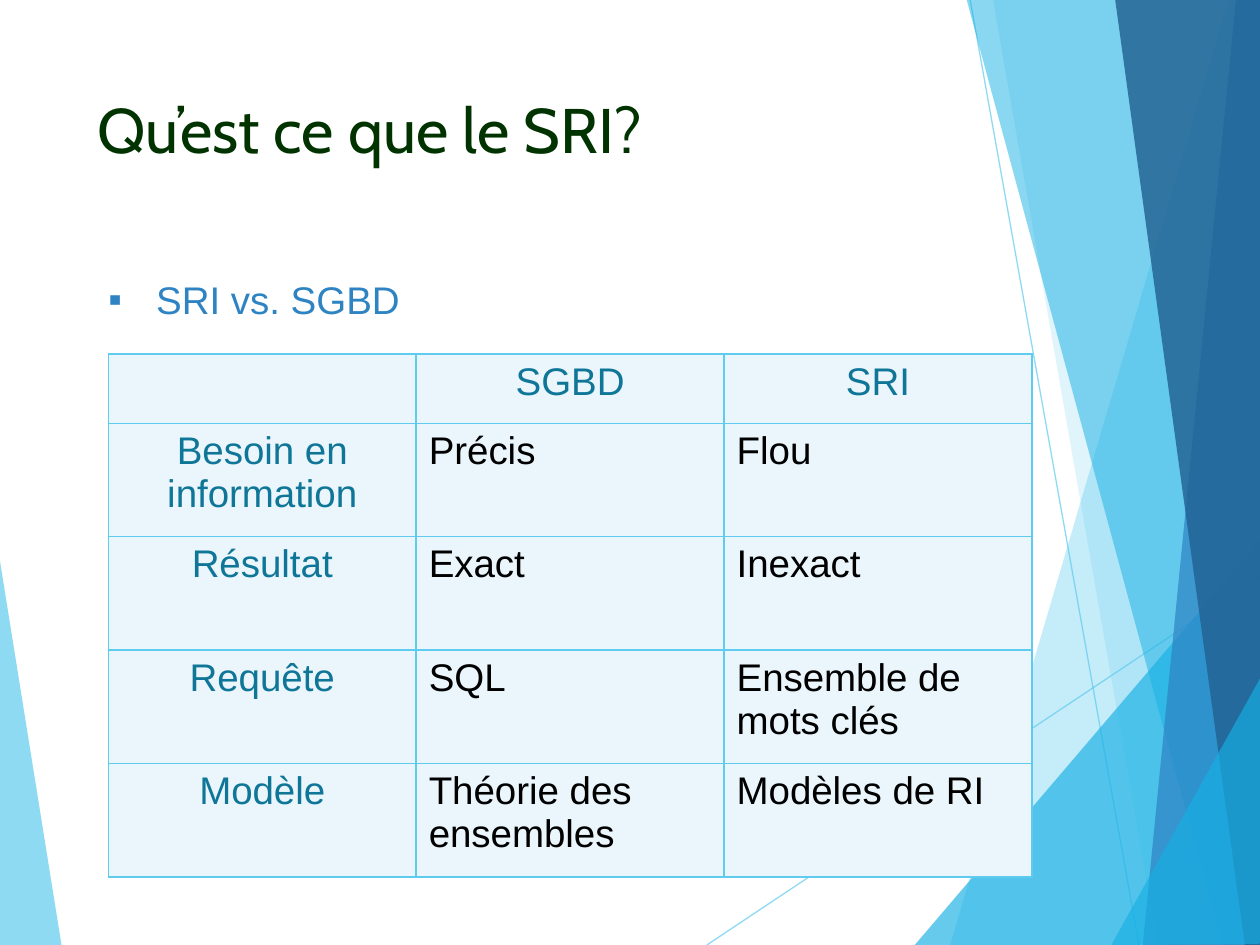
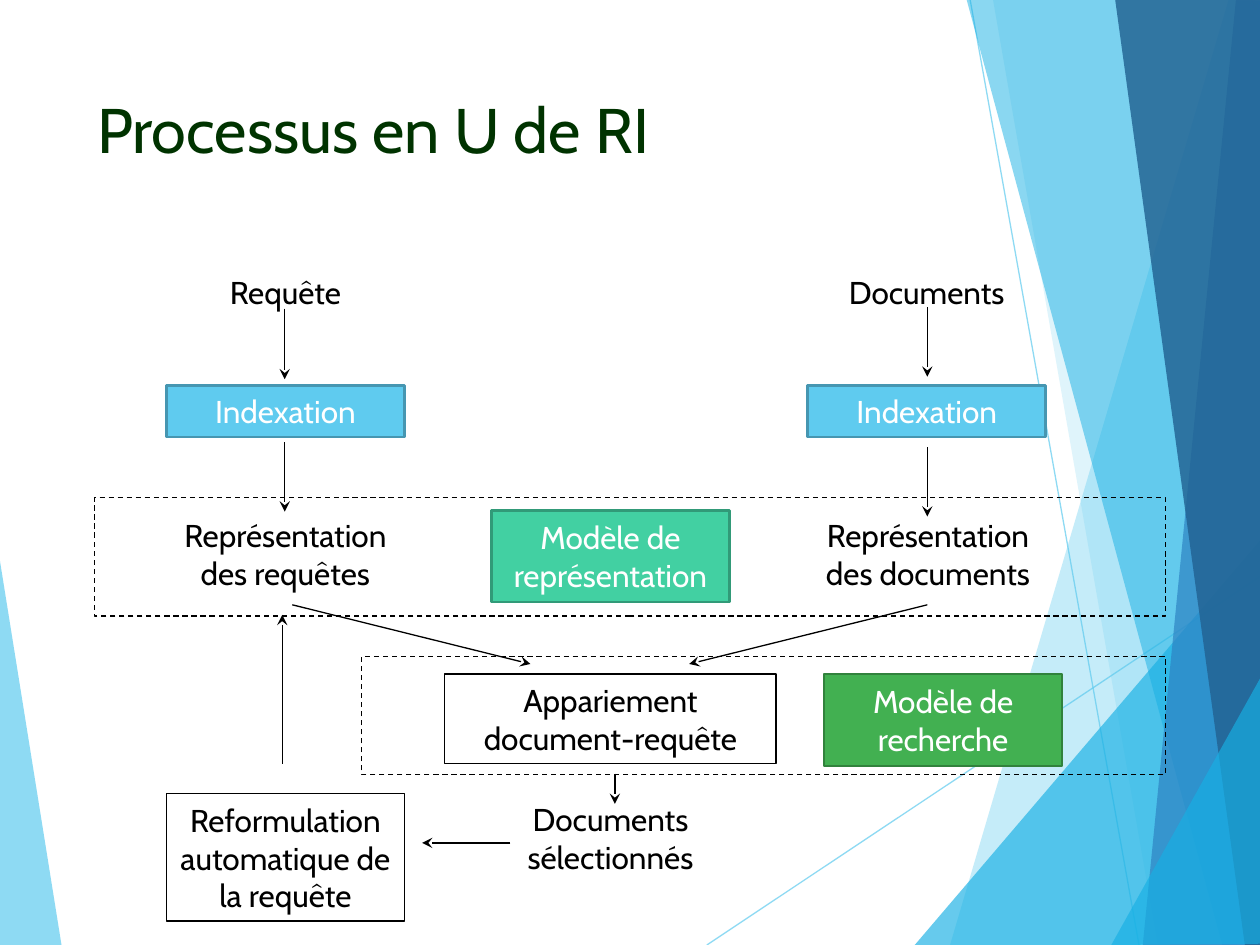
from dataclasses import dataclass

from lxml.etree import SubElement
from pptx import Presentation
from pptx.dml.color import RGBColor
from pptx.enum.dml import MSO_LINE_DASH_STYLE as DASH
from pptx.enum.shapes import MSO_CONNECTOR, MSO_SHAPE
from pptx.enum.text import MSO_ANCHOR, MSO_AUTO_SIZE, PP_ALIGN as ALIGN
from pptx.oxml.ns import qn
from pptx.util import Inches, Pt


@dataclass(frozen=True)
class Theme:
    sky: str = "5FCBEF"
    cyan: str = "17B0E4"
    blue: str = "2E83C3"
    navy: str = "226292"
    title: str = "003300"
    heading: str = "0F7698"
    cell: str = "EAF6FC"
    black: str = "000000"
    white: str = "FFFFFF"
    sky_edge: str = "4696B1"
    mint: str = "42D0A2"
    mint_edge: str = "319A78"
    green: str = "42B051"
    green_edge: str = "31823C"
    title_font: str = "Cabin"
    table_font: str = "Arial"
    title_size: int = 36
    table_size: int = 22
    flow_size: int = 18


T = Theme()
rgb = RGBColor.from_string


def write(tf, text, size=T.flow_size, font=T.title_font, color=T.black, align=ALIGN.CENTER):
    p = tf.paragraphs[0]
    p.alignment = align
    r = p.add_run()
    r.text = text
    r.font.size = Pt(size)
    r.font.name = font
    r.font.color.rgb = rgb(color)
    return p


def add_line(shapes, ends, color=T.black, arrow=False):
    s = shapes.add_connector(MSO_CONNECTOR.STRAIGHT, *[Inches(v) for v in ends])
    s.line.color.rgb = rgb(color)
    s.line.width = Pt(0.75)
    SubElement(s._element.spPr, qn("a:effectLst"))
    if arrow:
        SubElement(s.line._get_or_add_ln(), qn("a:tailEnd"), type="stealth")
    return s


prs = Presentation()
prs.slide_width, prs.slide_height = Inches(10), Inches(7.5)
master = prs.slide_master
compare = prs.slides.add_slide(prs.slide_layouts[1])
process = prs.slides.add_slide(prs.slide_layouts[5])

# Shared facets, back to front: colour, opacity in percent, corners (two corners make a line)
facets = [
    (T.sky, 70, [(-0.01, 4.39), (0.49, 7.51), (-0.01, 7.5)]),
    (T.sky, 70, [(5.61, 7.5), (10.01, 4.57)]),
    (T.sky, 70, [(7.7, 0), (9.04, 7.5)]),
    (T.sky, 36, [(9.75, 0), (7.54, 7.5), (10.02, 7.51), (10.01, 0.01)]),
    (T.sky, 20, [(7.88, -0.01), (9.19, 7.5), (10.01, 7.5), (10.01, -0.01)]),
    (T.cyan, 66, [(7.26, 7.5), (10, 4.29), (10.01, 7.5)]),
    (T.cyan, 50, [(7.67, -0.01), (9.7, 7.5), (10.01, 7.49), (10.01, -0.01)]),
    (T.blue, 70, [(9.81, -0.01), (9.07, 7.5), (10.01, 7.5), (10, -0.01)]),
    (T.navy, 82, [(8.85, -0.01), (9.88, 7.5), (10.02, 7.5), (10, -0.01)]),
    (T.cyan, 66, [(8.82, 7.5), (10.02, 5.35), (10.02, 7.49)]),
]
for i, (color, opacity, corners) in enumerate(facets):
    if len(corners) == 2:
        s = add_line(compare.shapes, corners[0] + corners[1], color)
    else:
        points = [(Inches(x), Inches(y)) for x, y in corners]
        outline = compare.shapes.build_freeform(*points[0])
        outline.add_line_segments(points[1:], close=True)
        s = outline.convert_to_shape()
        s.shadow.inherit = False
        s.fill.solid()
        s.fill.fore_color.rgb = rgb(color)
        s.line.fill.background()
    for clr in s._element.iter(qn("a:srgbClr")):
        SubElement(clr, qn("a:alpha"), val=str(opacity * 1000))
    # Move the facet to the master, behind its placeholders
    s._element.xpath(".//p:cNvPr")[0].set("id", str(100 + i))
    master.shapes._spTree.insert(2 + i, s._element)

# Shared title place, then the two titles
title = master.placeholders[0]
title.left, title.top, title.width, title.height = [Inches(v) for v in (0.67, 0.67, 6.94, 1.44)]
title.text_frame.vertical_anchor = MSO_ANCHOR.TOP
for slide, text in [(compare, "Qu’est ce que le SRI?"), (process, "Processus en U de RI")]:
    write(slide.shapes.title.text_frame, text, size=T.title_size, color=T.title, align=ALIGN.LEFT)

# Slide 1: bullet
body = compare.placeholders[1]
body.left, body.top, body.width, body.height = [Inches(v) for v in (0.76, 2.14, 2.53, 0.47)]
tf = body.text_frame
tf.word_wrap = False
tf.auto_size = MSO_AUTO_SIZE.NONE
p = write(tf, "SRI vs. SGBD", size=T.table_size, font=T.table_font, color=T.blue, align=ALIGN.LEFT)
p.space_before = Pt(0)
pPr = p._p.get_or_add_pPr()
pPr.set("marL", str(Inches(0.38)))
pPr.set("indent", str(-Inches(0.38)))
SubElement(pPr, qn("a:buChar"), char="▪")

# Slide 1: comparison table
rows = [
    ("", "SGBD", "SRI"),
    ("Besoin en information", "Précis", "Flou"),
    ("Résultat", "Exact", "Inexact"),
    ("Requête", "SQL", "Ensemble de mots clés"),
    ("Modèle", "Théorie des ensembles", "Modèles de RI"),
]
table = compare.shapes.add_table(
    len(rows), 3, Inches(0.86), Inches(2.81), Inches(7.33), Inches(4.14)).table
table.first_row = table.horz_banding = False
for col in table.columns:
    col.width = Inches(7.33 / 3)
for i, row in enumerate(rows):
    table.rows[i].height = Inches(0.9 if i else 0.55)
    for j, text in enumerate(row):
        cell = table.cell(i, j)
        is_heading = i == 0 or j == 0
        if text:
            write(cell.text_frame, text, size=T.table_size, font=T.table_font,
                  color=T.heading if is_heading else T.black,
                  align=ALIGN.CENTER if is_heading else ALIGN.LEFT)
        tcPr = cell._tc.get_or_add_tcPr()
        for side in ("lnL", "lnR", "lnT", "lnB"):
            ln = SubElement(tcPr, qn(f"a:{side}"), w=str(Pt(1)))
            SubElement(SubElement(ln, qn("a:solidFill")), qn("a:srgbClr"), val=T.sky)
        cell.fill.solid()
        cell.fill.fore_color.rgb = rgb(T.cell)

# Slide 2: columns and rows of the U
LEFT, MIDDLE, RIGHT, STEP_W = 1.32, 3.9, 6.41, 1.89
SOURCE_Y, INDEX_Y, REPR_Y, MATCH_Y, RESULT_Y = 2.12, 3.06, 4.05, 5.35, 6.3

# Slide 2: plain labels
labels = [
    ("Requête", LEFT, SOURCE_Y, STEP_W, 0.4),
    ("Documents", RIGHT, SOURCE_Y, STEP_W, 0.4),
    ("Représentation des requêtes", 1.26, REPR_Y, 2.01, 0.7),
    ("Représentation des documents", 6.34, REPR_Y, 2.05, 0.7),
    ("Documents sélectionnés", MIDDLE, RESULT_Y, STEP_W, 0.7),
]
for text, *place in labels:
    tf = process.shapes.add_textbox(*[Inches(v) for v in place]).text_frame
    tf.word_wrap = True
    write(tf, text)

# Slide 2: boxes, then the dashed frames around the two stages
boxes = [
    ("Indexation", LEFT, INDEX_Y, STEP_W, 0.41, T.sky, T.sky_edge),
    ("Indexation", RIGHT, INDEX_Y, STEP_W, 0.41, T.sky, T.sky_edge),
    ("Modèle de représentation", MIDDLE, REPR_Y, STEP_W, 0.73, T.mint, T.mint_edge),
    ("Appariement document-requête", 3.53, MATCH_Y, 2.63, 0.71, None, T.black),
    ("Modèle de recherche", 6.54, MATCH_Y, STEP_W, 0.73, T.green, T.green_edge),
    ("Reformulation automatique de la requête", LEFT, RESULT_Y, STEP_W, 1.01, None, T.black),
    ("", 0.75, 3.95, 8.5, 0.94, None, T.black),
    ("", 2.87, 5.21, 6.38, 0.94, None, T.black),
]
for text, *place, fill, edge in boxes:
    s = process.shapes.add_shape(MSO_SHAPE.RECTANGLE, *[Inches(v) for v in place])
    s.shadow.inherit = False
    s.line.color.rgb = rgb(edge)
    s.line.width = Pt(1.5 if fill else 0.75)
    if fill:
        s.fill.solid()
        s.fill.fore_color.rgb = rgb(fill)
    else:
        s.fill.background()
    if text:
        s.text_frame.word_wrap = True
        write(s.text_frame, text, color=T.white if fill else T.black)
    else:
        s.line.dash_style = DASH.DASH

# Slide 2: arrows
arrows = [
    (2.26, 2.45, 2.26, 3.01),
    (7.36, 2.44, 7.36, 2.99),
    (7.36, 3.55, 7.36, 4.1),
    (2.26, 3.51, 2.26, 4.06),
    (2.32, 4.8, 4.21, 5.27),
    (7.36, 4.8, 5.47, 5.27),
    (4.88, 6.14, 4.88, 6.38),
    (4.05, 6.69, 3.35, 6.69),
    (2.24, 6.06, 2.24, 4.88),
]
for ends in arrows:
    add_line(process.shapes, ends, arrow=True)

prs.save("out.pptx")
